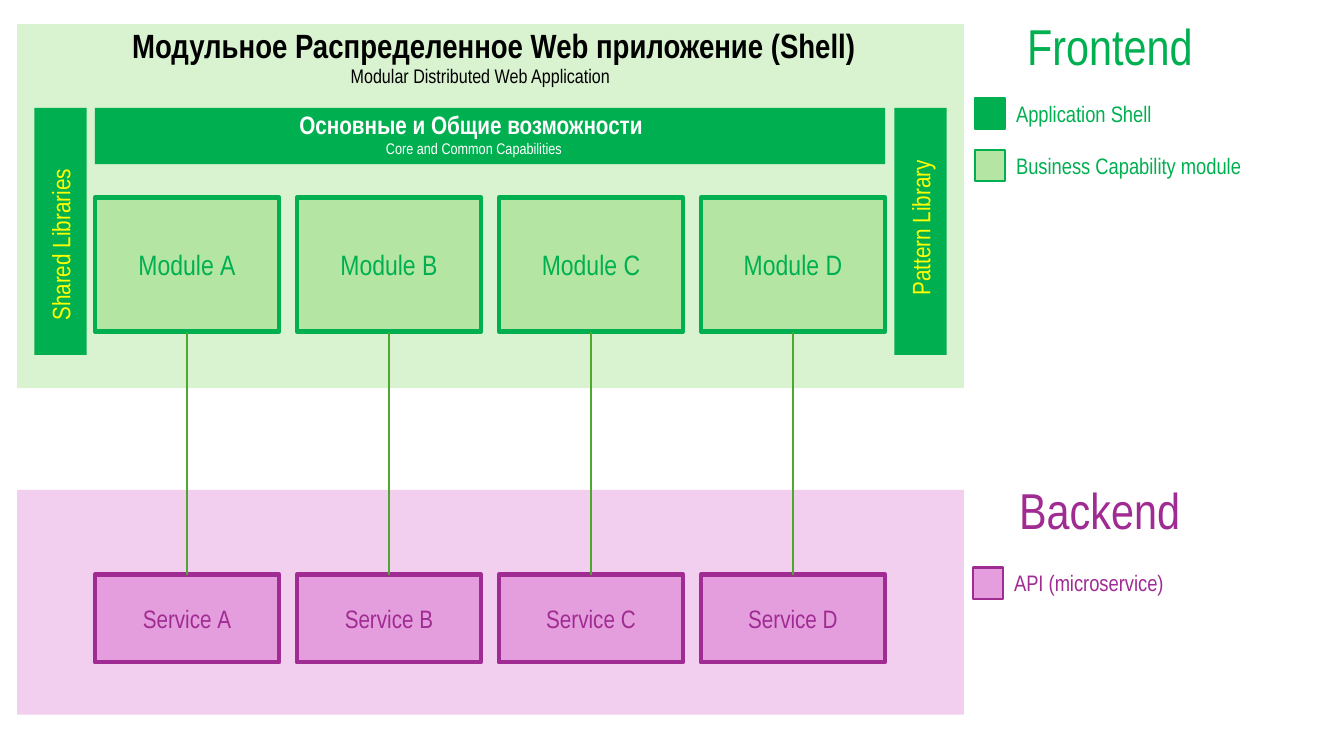
from dataclasses import dataclass

from lxml.etree import SubElement
from pptx import Presentation
from pptx.dml.color import RGBColor
from pptx.enum.shapes import MSO_CONNECTOR as Connector, MSO_SHAPE as Preset
from pptx.enum.text import MSO_ANCHOR as Anchor, MSO_AUTO_SIZE as AutoSize, PP_ALIGN as Align
from pptx.oxml.ns import qn
from pptx.util import Inches, Pt


@dataclass(frozen=True)
class Theme:
    font: str = "Arial Narrow"
    black: str = "000000"
    white: str = "FFFFFF"
    yellow: str = "FFFF00"
    green: str = "00B050"
    green_mid: str = "B4E5A2"
    green_pale: str = "D9F2D0"
    green_link: str = "4EA72E"
    purple: str = "A02B93"
    purple_mid: str = "E59EDD"
    purple_pale: str = "F2CFEE"
    heading: int = 36
    title: int = 24
    module: int = 20
    label: int = 18
    legend: int = 16
    subtitle: int = 14
    caption: int = 11
    thick: float = 3
    thin: float = 1.5


THEME = Theme()
SLIDE_WIDTH, SLIDE_HEIGHT = 13.33, 7.5
PANEL_LEFT, PANEL_WIDTH = 0.17, 9.39
GRID_LEFT, GRID_WIDTH, COLUMN_WIDTH = 0.94, 7.84, 1.83
LETTERS = "АBCD"
COLUMN_PITCH = (GRID_WIDTH - COLUMN_WIDTH) / (len(LETTERS) - 1)
SIDE_TOP, SIDE_WIDTH, SIDE_HEIGHT = 1.07, 0.52, 2.45
MODULE_TOP, MODULE_HEIGHT = 1.96, 1.33
SERVICE_TOP, SERVICE_HEIGHT = 5.7, 0.87
SWATCH_WIDTH, SWATCH_HEIGHT = 0.3, 0.31


def rgb(color):
    return RGBColor.from_string(color)


def write_text(shape, text, *, size, color, bold=False, align=Align.LEFT,
               anchor=Anchor.TOP, wrap=True, auto_size=AutoSize.NONE):
    frame = shape.text_frame
    frame.word_wrap = wrap
    frame.auto_size = auto_size
    frame.vertical_anchor = anchor
    paragraph = frame.paragraphs[0]
    paragraph.alignment = align
    run = paragraph.add_run()
    run.text = text
    run.font.name = THEME.font
    run.font.size = Pt(size)
    run.font.bold = bold
    run.font.color.rgb = rgb(color)


def add_box(slide, left, top, width, height, fill, line=None, line_width=THEME.thick):
    box = slide.shapes.add_shape(Preset.RECTANGLE, *map(Inches, (left, top, width, height)))
    box.shadow.inherit = False
    box.fill.solid()
    box.fill.fore_color.rgb = rgb(fill)
    if line:
        box.line.color.rgb = rgb(line)
        box.line.width = Pt(line_width)
    else:
        box.line.fill.background()
    return box


def add_label(slide, left, top, width, height, text, rotation=0, wrap=False, **text_format):
    label = slide.shapes.add_textbox(*map(Inches, (left, top, width, height)))
    label.rotation = rotation
    write_text(label, text, wrap=wrap, auto_size=AutoSize.SHAPE_TO_FIT_TEXT, **text_format)


def add_title(slide):
    title = slide.shapes.title
    title.left, title.top, title.width, title.height = map(Inches, (1.21, 0.2, 7.48, 0.5))
    write_text(title, "Модульное Распределенное Web приложение (Shell)",
               size=THEME.title, color=THEME.black, bold=True, wrap=False)
    # The placeholder goes in front of the panel drawn before it.
    title.element.getparent().append(title.element)


def add_row(slide, name, top, height, fill, color, size):
    """Add one named box per grid column and return the boxes."""
    boxes = []
    for column, letter in enumerate(LETTERS):
        left = GRID_LEFT + column * COLUMN_PITCH
        box = add_box(slide, left, top, COLUMN_WIDTH, height, fill, color)
        write_text(box, f"{name} {letter}", size=size, color=color,
                   align=Align.CENTER, anchor=Anchor.MIDDLE)
        boxes.append(box)
    return boxes


def add_side_bar(slide, left, text, text_top, text_width):
    """Add a vertical bar whose label reads from bottom to top."""
    text_height = 0.4
    add_box(slide, left, SIDE_TOP, SIDE_WIDTH, SIDE_HEIGHT, THEME.green)
    add_label(slide, left + (SIDE_WIDTH - text_height - text_width) / 2 + 0.2, text_top,
              text_width, text_height, text, rotation=270,
              size=THEME.label, color=THEME.yellow)


def add_link(slide, module, service):
    link = slide.shapes.add_connector(Connector.STRAIGHT, 0, 0, 0, 0)
    link.begin_connect(module, 2)
    link.end_connect(service, 0)
    link.line.color.rgb = rgb(THEME.green_link)
    link.line.width = Pt(THEME.thin)
    SubElement(link.element.spPr, qn("a:effectLst"))


def add_legend_entry(slide, left, top, text, fill, color):
    add_box(slide, left, top, SWATCH_WIDTH, SWATCH_HEIGHT, fill, color, THEME.thin)
    add_label(slide, left + 0.31, top - 0.03, 2.64, 0.37, text, wrap=True,
              size=THEME.legend, color=color)


def add_frontend(slide):
    add_box(slide, PANEL_LEFT, 0.24, PANEL_WIDTH, 3.61, THEME.green_pale)
    add_title(slide)
    add_label(slide, 3.38, 0.58, 2.8, 0.31, "Modular Distributed Web Application",
              size=THEME.subtitle, color=THEME.black)
    add_box(slide, GRID_LEFT, SIDE_TOP, GRID_WIDTH, 0.56, THEME.green)
    add_label(slide, 3.73, 1.33, 1.96, 0.29, "Core and Common Capabilities",
              size=THEME.caption, color=THEME.white)
    add_label(slide, 2.87, 1.04, 3.67, 0.4, "Основные и Общие возможности",
              size=THEME.label, color=THEME.white, bold=True)
    add_side_bar(slide, 0.34, "Shared Libraries", 2.22, 1.72)
    add_side_bar(slide, 8.87, "Pattern Library", 2.05, 1.56)
    add_label(slide, 10.09, 0.1, 1.86, 0.71, "Frontend", size=THEME.heading, color=THEME.green)
    add_legend_entry(slide, 9.67, 0.97, "Application Shell", THEME.green, THEME.green)
    add_legend_entry(slide, 9.67, 1.49, "Business Capability module",
                     THEME.green_mid, THEME.green)
    return add_row(slide, "Module", MODULE_TOP, MODULE_HEIGHT,
                   THEME.green_mid, THEME.green, THEME.module)


def add_backend(slide):
    add_box(slide, PANEL_LEFT, 4.86, PANEL_WIDTH, 2.23, THEME.purple_pale)
    add_label(slide, 10.01, 4.7, 1.81, 0.71, "Backend", size=THEME.heading, color=THEME.purple)
    add_legend_entry(slide, 9.65, 5.63, "API (microservice)", THEME.purple_mid, THEME.purple)
    return add_row(slide, "Service", SERVICE_TOP, SERVICE_HEIGHT,
                   THEME.purple_mid, THEME.purple, THEME.label)


def main():
    presentation = Presentation()
    presentation.slide_width = Inches(SLIDE_WIDTH)
    presentation.slide_height = Inches(SLIDE_HEIGHT)
    slide = presentation.slides.add_slide(presentation.slide_layouts.get_by_name("Title Only"))
    modules = add_frontend(slide)
    services = add_backend(slide)
    for module, service in zip(modules, services):
        add_link(slide, module, service)
    presentation.save("out.pptx")


if __name__ == "__main__":
    main()
